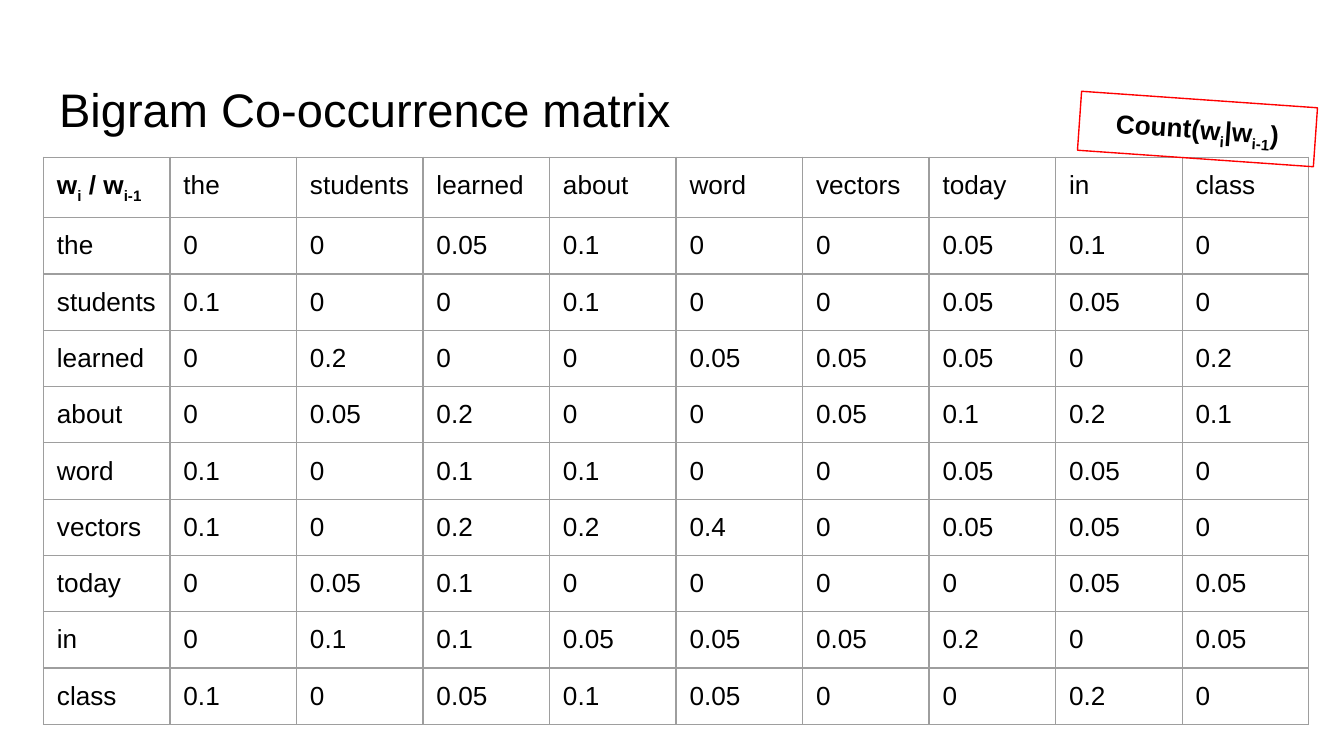
"""Build a slide with a bigram co-occurrence matrix and its count label."""
from lxml.etree import SubElement
from pptx import Presentation
from pptx.dml.color import RGBColor
from pptx.enum.shapes import MSO_SHAPE
from pptx.enum.text import MSO_ANCHOR, PP_ALIGN
from pptx.oxml.ns import qn
from pptx.util import Pt


def color(value):
    return RGBColor.from_string(value)


def write(para, parts, size=14, bold=False):
    for index, part in enumerate(parts):
        span = para.add_run()
        span.text = part
        span.font.name = "Arial"
        span.font.size = Pt(size)
        span.font.bold = bold
        span.font.color.rgb = color("000000")
        if index % 2:
            span.font._element.set("baseline", "-25000")


words = ["the", "students", "learned", "about", "word", "vectors", "today", "in", "class"]
counts = [
    "0 0 0.05 0.1 0 0 0.05 0.1 0",
    "0.1 0 0 0.1 0 0 0.05 0.05 0",
    "0 0.2 0 0 0.05 0.05 0.05 0 0.2",
    "0 0.05 0.2 0 0 0.05 0.1 0.2 0.1",
    "0.1 0 0.1 0.1 0 0 0.05 0.05 0",
    "0.1 0 0.2 0.2 0.4 0 0.05 0.05 0",
    "0 0.05 0.1 0 0 0 0 0.05 0.05",
    "0 0.1 0.1 0.05 0.05 0.05 0.2 0 0.05",
    "0.1 0 0.05 0.1 0.05 0 0 0.2 0",
]
corner = ["w", "i", " / w", "i-1"]
rows = [[corner] + [[word] for word in words]]
for word, line in zip(words, counts):
    rows.append([[word]] + [[count] for count in line.split()])

deck = Presentation()
deck.slide_width = Pt(720)
deck.slide_height = Pt(405)
page = deck.slides.add_slide(deck.slide_layouts[5])

title = page.shapes.title
title.left, title.top, title.width, title.height = Pt(24.5), Pt(35.3), Pt(671), Pt(45.4)
title.text_frame.vertical_anchor = MSO_ANCHOR.BOTTOM
title.text_frame.paragraphs[0].alignment = PP_ALIGN.LEFT
write(title.text_frame.paragraphs[0], ["Bigram Co-occurrence matrix"], size=25.2)

size = len(rows)
frame = page.shapes.add_table(size, size, Pt(23.3), Pt(84.25), Pt(678), Pt(252))
matrix = frame.table
matrix.first_row = False
matrix.horz_banding = False
for column in matrix.columns:
    column.width = Pt(67.8)
for row in matrix.rows:
    row.height = Pt(25.2)

for row, contents in zip(matrix.rows, rows):
    for cell, parts in zip(row.cells, contents):
        cell.margin_left = cell.margin_right = Pt(7.2)
        cell.margin_top = cell.margin_bottom = Pt(7.2)
        write(cell.text_frame.paragraphs[0], parts, bold=parts is corner)
        properties = cell._tc.get_or_add_tcPr()
        for side in ("a:lnL", "a:lnR", "a:lnT", "a:lnB"):
            border = SubElement(properties, qn(side), w=str(Pt(0.75)))
            SubElement(SubElement(border, qn("a:solidFill")), qn("a:srgbClr"), val="9E9E9E")
        cell.fill.background()

label = page.shapes.add_shape(MSO_SHAPE.RECTANGLE, Pt(578.2), Pt(53.3), Pt(126.7), Pt(31.7))
label.rotation = 4
label.shadow.inherit = False
label.fill.background()
label.line.color.rgb = color("FF0000")
label.line.width = Pt(0.75)

for box in (title, label):
    text = box.text_frame
    text.word_wrap = True
    text.margin_left = text.margin_right = Pt(7.2)
    text.margin_top = text.margin_bottom = Pt(7.2)
label.text_frame.vertical_anchor = MSO_ANCHOR.TOP
label.text_frame.paragraphs[0].alignment = PP_ALIGN.CENTER
write(label.text_frame.paragraphs[0], ["Count(w", "i", "|w", "i-1", ")"], bold=True)

deck.save("out.pptx")
